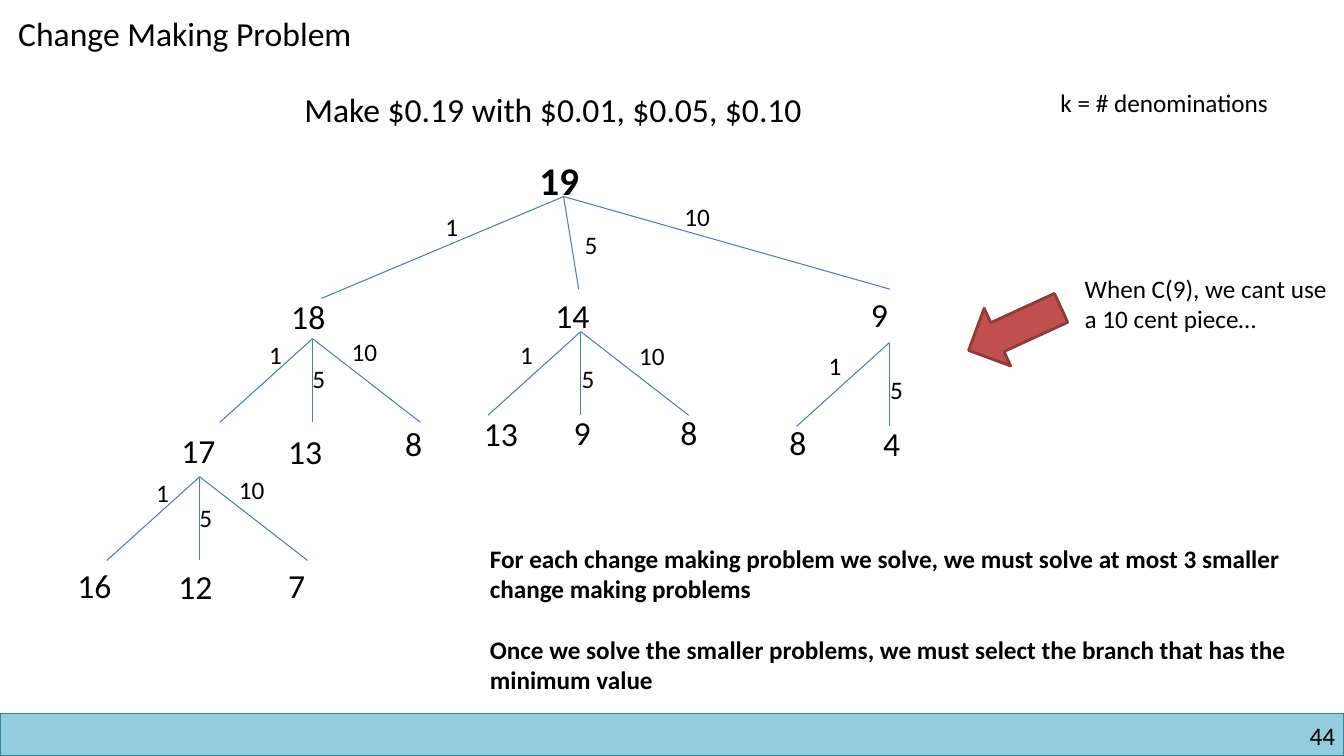
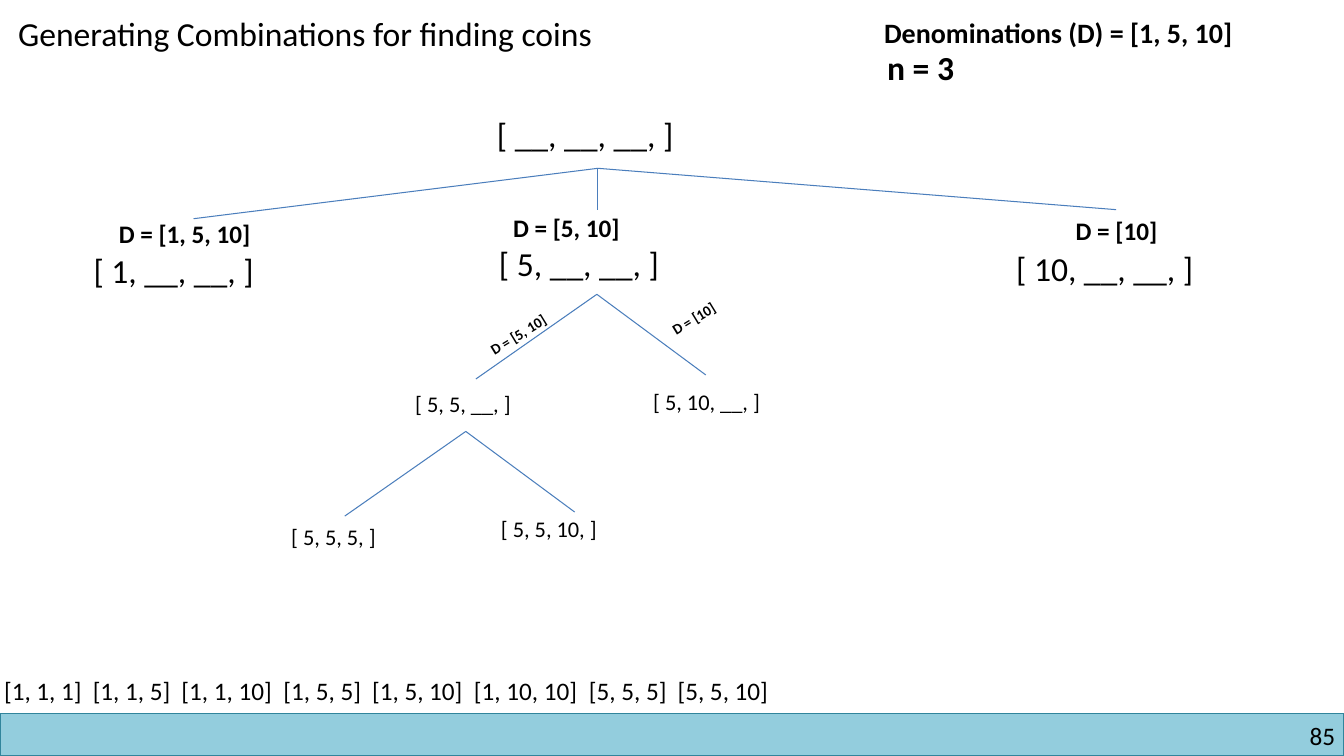
"""Builds two slides on coin change: the recursion tree and the combinations tree."""
import dataclasses
import itertools

import lxml.etree
import pptx
import pptx.dml.color
import pptx.enum.shapes
import pptx.enum.text
import pptx.oxml.ns
import pptx.util

Inches = pptx.util.Inches
Pt = pptx.util.Pt
RGBColor = pptx.dml.color.RGBColor


@dataclasses.dataclass(frozen=True)
class Theme:
    """Colours, font and type sizes used by every slide."""
    font: str = "Calibri"
    ink: RGBColor = RGBColor(0x00, 0x00, 0x00)
    band: RGBColor = RGBColor(0x93, 0xCD, 0xDD)
    band_edge: RGBColor = RGBColor(0x31, 0x85, 0x9C)
    branch: RGBColor = RGBColor(0x4B, 0x7E, 0xBC)
    pointer: RGBColor = RGBColor(0xC0, 0x50, 0x4D)
    pointer_edge: RGBColor = RGBColor(0x8E, 0x3B, 0x39)
    root: float = 28
    heading: float = 24
    subheading: float = 20
    body: float = 18
    leaf: float = 16
    tiny: float = 10.5


class Deck:
    """Holds the theme, the presentation and the slide being drawn."""

    def __init__(self, theme):
        self.theme = theme
        self.presentation = pptx.Presentation()
        self.presentation.slide_width = Inches(13.33)
        self.presentation.slide_height = Inches(7.5)
        self.slide = None

    def start_slide(self, title, number):
        """Adds a slide with its title, bottom band and number."""
        layout = self.presentation.slide_layouts[5]
        self.slide = self.presentation.slides.add_slide(layout)
        heading = self.slide.shapes.title
        heading.left, heading.top = Inches(0.08), Inches(0.08)
        heading.width, heading.height = Inches(7), Inches(0.5)
        self.set_text(heading.text_frame, [title], self.theme.heading)
        self.shape(pptx.enum.shapes.MSO_SHAPE.RECTANGLE, (0, 7.08, 13.33, 0.42),
                   self.theme.band, self.theme.band_edge, 1)
        self.text(str(number), 10.17, 7.1, 3.17, align=pptx.enum.text.PP_ALIGN.RIGHT)

    def set_text(self, frame, paragraphs, size, bold=False, gap=0,
                 align=pptx.enum.text.PP_ALIGN.LEFT):
        """Fills a text frame with one run per paragraph."""
        frame.word_wrap = True
        frame.auto_size = pptx.enum.text.MSO_AUTO_SIZE.NONE
        frame.vertical_anchor = pptx.enum.text.MSO_ANCHOR.TOP
        for index, words in enumerate(paragraphs):
            paragraph = frame.add_paragraph() if index else frame.paragraphs[0]
            paragraph.alignment = align
            paragraph.space_before = Pt(gap if index else 0)
            run = paragraph.add_run()
            run.text = words
            run.font.name = self.theme.font
            run.font.size = Pt(size)
            run.font.bold = bold
            run.font.color.rgb = self.theme.ink

    def text(self, words, left, top, width, size=None, lines=1, rotation=0, **style):
        """Adds a text box whose height follows from its type size."""
        size = size or self.theme.body
        paragraphs = [words] if isinstance(words, str) else words
        height = round(0.1 + lines * size * 1.22 / 72, 2)
        box = self.slide.shapes.add_textbox(
            Inches(left), Inches(top), Inches(width), Inches(height))
        box.rotation = rotation
        self.set_text(box.text_frame, paragraphs, size, **style)
        return box

    def tabbed(self, items, stops, left, top, width):
        """Adds one line of items set on tab stops."""
        box = self.text("\t".join(items), left, top, width)
        box.text_frame.margin_left = 0
        properties = box.text_frame.paragraphs[0]._p.get_or_add_pPr()
        tabs = lxml.etree.SubElement(properties, pptx.oxml.ns.qn("a:tabLst"))
        for stop in stops:
            lxml.etree.SubElement(tabs, pptx.oxml.ns.qn("a:tab"),
                                  pos=str(Inches(stop)), algn="l")

    def shape(self, kind, bounds, fill, edge, weight, rotation=0):
        """Adds a flat preset shape."""
        shape = self.slide.shapes.add_shape(kind, *map(Inches, bounds))
        shape.shadow.inherit = False
        shape.fill.solid()
        shape.fill.fore_color.rgb = fill
        shape.line.color.rgb = edge
        shape.line.width = Pt(weight)
        shape.rotation = rotation

    def fan(self, apex, offsets):
        """Draws a line from the apex to each offset below it."""
        x, y = apex
        for dx, dy in offsets:
            branch = self.slide.shapes.add_connector(
                pptx.enum.shapes.MSO_CONNECTOR.STRAIGHT,
                Inches(x), Inches(y), Inches(x + dx), Inches(y + dy))
            branch.line.color.rgb = self.theme.branch
            branch.line.width = Pt(0.75)
            lxml.etree.SubElement(branch._element.spPr, pptx.oxml.ns.qn("a:effectLst"))

    def coin_fan(self, apex, offsets, label_offsets):
        """Draws a fan whose branches carry the coin used."""
        self.fan(apex, offsets)
        for coin, (dx, dy) in zip(("1", "5", "10"), label_offsets):
            self.text(coin, apex[0] + dx, apex[1] + dy, 0.5)


def change_making(deck):
    """Draws the recursion tree for 19 cents."""
    theme = deck.theme
    deck.start_slide("Change Making Problem", 44)
    deck.text("Make $0.19 with $0.01, $0.05, $0.10", 2.92, 0.83, 5.65, theme.heading)
    deck.text("k = # denominations", 10.42, 0.82, 2.6)
    deck.text("19", 5.25, 1.5, 0.75, theme.root, bold=True)

    deck.coin_fan((5.59, 1.95), [(-2.4, 1.01), (0.15, 0.92), (3.24, 0.92)],
                  [(-1.27, 0.1), (0.11, 0.28), (1.1, 0)])
    spread = [(-0.92, 0.83), (0, 0.83), (1.07, 0.83)]
    tight = [(-0.53, -0.04), (-0.1, 0.2), (0.29, -0.07)]
    roomy = [(-0.7, 0.03), (-0.09, 0.26), (0.48, 0.04)]
    for apex, labels, count in [((3.1, 3.36), tight, 3), ((1.98, 4.73), tight, 3),
                                ((5.76, 3.29), roomy, 3), ((8.82, 3.4), roomy, 2)]:
        deck.coin_fan(apex, spread[:count], labels[:count])

    amounts = [
        ("18", 2.79, 2.89), ("14", 5.41, 2.88), ("9", 8.54, 2.87),
        ("17", 1.7, 4.22), ("13", 2.76, 4.23), ("8", 3.92, 4.15),
        ("13", 4.7, 4.05), ("9", 5.59, 4.04), ("8", 6.65, 4.04),
        ("8", 7.73, 4.14), ("4", 8.66, 4.15),
        ("16", 0.67, 5.55), ("12", 1.67, 5.56), ("7", 2.76, 5.55),
    ]
    for amount, left, top in amounts:
        deck.text(amount, left, top, 0.65, theme.heading)

    deck.shape(pptx.enum.shapes.MSO_SHAPE.RIGHT_ARROW, (9.56, 2.95, 1.01, 0.63),
               theme.pointer, theme.pointer_edge, 2, rotation=155.3)
    deck.text("When C(9), we cant use a 10 cent piece…", 10.66, 2.66, 2.67, lines=2)
    deck.text(["For each change making problem we solve, we must solve at most 3 smaller "
               "change making problems",
               "Once we solve the smaller problems, we must select the branch that has "
               "the minimum value"],
              4.76, 5.34, 8.32, lines=5, bold=True, gap=22)


def generating_combinations(deck):
    """Draws the tree of coin combinations of length three."""
    theme = deck.theme
    deck.start_slide("Generating Combinations for finding coins", 85)
    deck.text("Denominations (D) = [1, 5, 10]", 8.67, 0.1, 4.13, theme.subheading, bold=True)
    deck.text("n = 3", 8.7, 0.42, 1.2, theme.heading, bold=True)

    deck.fan((5.93, 1.67), [(-4.01, 0.5), (0, 0.41), (5.14, 0.41)])
    for apex in [(5.92, 2.92), (4.62, 4.28)]:
        deck.fan(apex, [(-1.2, 0.84), (1.08, 0.8)])

    choices = [
        ("[ __, __, __, ]", 4.83, 1.08, theme.heading),
        ("[ 1, __, __, ]", 0.83, 2.43, theme.heading),
        ("[ 5, __, __, ]", 4.85, 2.36, theme.heading),
        ("[ 10, __, __, ]", 9.98, 2.41, theme.heading),
        ("[ 5, 5, __, ]", 4.02, 3.82, theme.leaf),
        ("[ 5, 10, __, ]", 6.38, 3.8, theme.leaf),
        ("[ 5, 5, 5, ]", 2.79, 5.14, theme.leaf),
        ("[ 5, 5, 10, ]", 4.87, 5.06, theme.leaf),
    ]
    for choice, left, top, size in choices:
        deck.text(choice, left, top, 2.3, size)

    for remaining, left, top in [("D = [1, 5, 10]", 1.08, 2.12), ("D = [5, 10]", 4.99, 2.06),
                                 ("D = [10]", 10.57, 2.09)]:
        deck.text(remaining, left, top, 1.8, bold=True)
    for remaining, left, top in [("D = [5, 10]", 4.64, 3.18), ("D = [10]", 6.38, 3.02)]:
        deck.text(remaining, left, top, 1, theme.tiny, rotation=328.6, bold=True,
                  align=pptx.enum.text.PP_ALIGN.CENTER)

    combinations = ["[1, 1, 1]", "[1, 1, 5]", "[1, 1, 10]", "[1, 5, 5]",
                    "[1, 5, 10]", "[1, 10, 10]", "[5, 5, 5]", "[5, 5, 10]"]
    steps = [0.88 + 0.13 * combination.count("10") for combination in combinations[:-1]]
    deck.tabbed(combinations, itertools.accumulate(steps), 0.04, 6.65, 8.45)


def main():
    """Builds and saves the deck."""
    deck = Deck(Theme())
    change_making(deck)
    generating_combinations(deck)
    deck.presentation.save("out.pptx")


if __name__ == "__main__":
    main()
